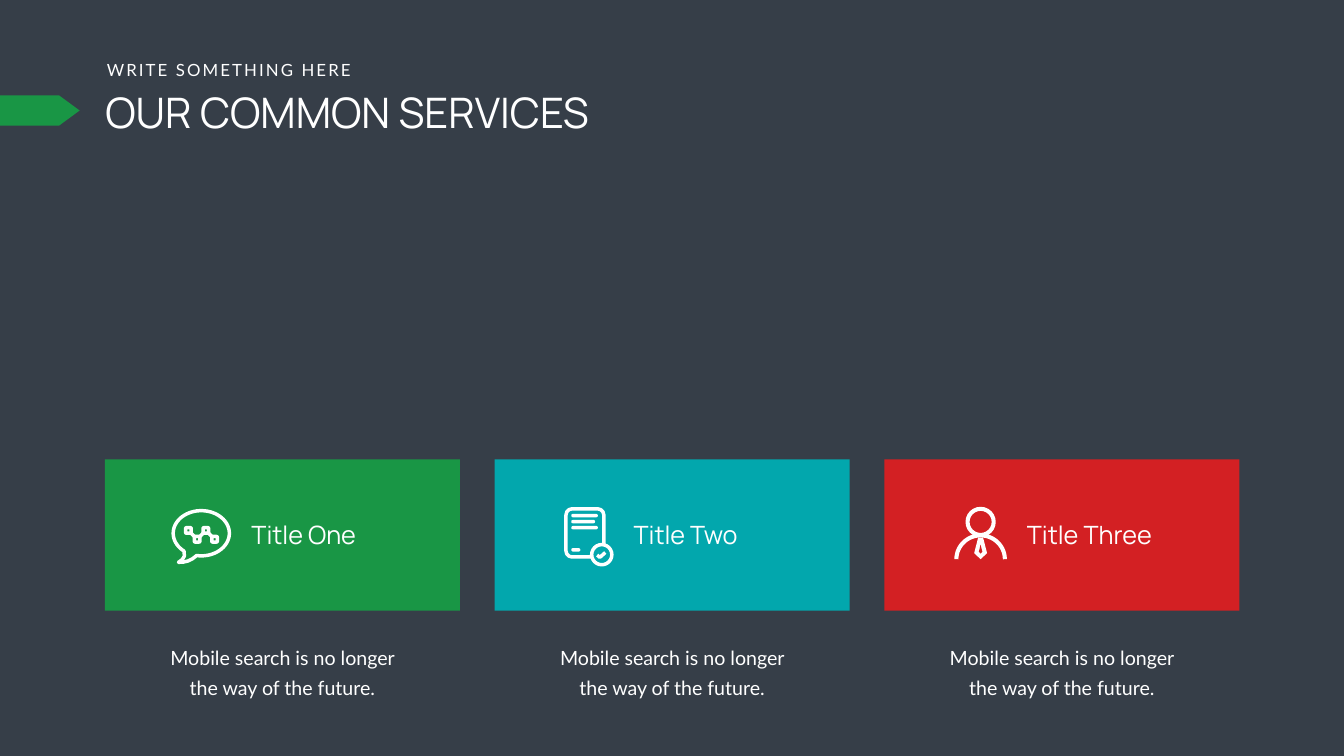
from math import cos, radians, sin

from lxml import etree
from pptx import Presentation
from pptx.dml.color import RGBColor
from pptx.enum.shapes import MSO_SHAPE as Preset
from pptx.enum.text import PP_ALIGN as Align
from pptx.oxml.ns import qn
from pptx.util import Pt

BACKGROUND = RGBColor(0x36, 0x3E, 0x48)
WHITE = RGBColor(0xFF, 0xFF, 0xFF)
GREEN = RGBColor(0x19, 0x96, 0x45)
TEAL = RGBColor(0x02, 0xA7, 0xAD)
RED = RGBColor(0xD3, 0x20, 0x23)

PAGE_WIDTH, PAGE_HEIGHT = 1919.52, 1080
CARD_LEFT, CARD_TOP, CARD_PITCH = 149.9, 656.3, 556.56
CARD_WIDTH, CARD_HEIGHT = 507, 216
STROKE = 5


def add_text(page, text, left, top, width, height, *, size, font,
             align=Align.LEFT, leading=None, tracking=None, inset=(7.2, 3.6),
             wrap=True):
    box = page.shapes.add_textbox(Pt(left), Pt(top), Pt(width), Pt(height))
    frame = box.text_frame
    frame.word_wrap = wrap
    frame.margin_left = frame.margin_right = Pt(inset[0])
    frame.margin_top = frame.margin_bottom = Pt(inset[1])
    para = frame.paragraphs[0]
    para.alignment = align
    if leading:
        para.line_spacing = Pt(leading)
    span = para.add_run()
    span.text = text
    span.font.size = Pt(size)
    span.font.name = font
    span.font.color.rgb = WHITE
    if tracking:
        span._r.get_or_add_rPr().set("spc", str(tracking * 100))


def paint(shape, fill=None, stroke=None):
    shape.shadow.inherit = False
    if fill is None:
        shape.fill.background()
    else:
        shape.fill.solid()
        shape.fill.fore_color.rgb = fill
    if stroke is None:
        shape.line.fill.background()
    else:
        shape.line.color.rgb = WHITE
        shape.line.width = Pt(stroke)
        # Round joins
        etree.SubElement(shape._element.spPr.find(qn("a:ln")), qn("a:round"))


def add_preset(page, preset, left, top, width, height, fill=None, stroke=None,
               adjust=None):
    shape = page.shapes.add_shape(preset, Pt(left), Pt(top), Pt(width), Pt(height))
    if adjust is not None:
        shape.adjustments[0] = adjust
    paint(shape, fill, stroke)
    return shape


def add_centred(page, preset, x, y, size, fill, stroke):
    add_preset(page, preset, x - size / 2, y - size / 2, size, size, fill, stroke)


def add_outline(page, left, points, fill=None, stroke=None, close=True):
    """Draw points given relative to the corner of a card."""
    placed = [(Pt(left + x), Pt(CARD_TOP + y)) for x, y in points]
    builder = page.shapes.build_freeform(*placed[0], scale=1.0)
    builder.add_line_segments(placed[1:], close=close)
    paint(builder.convert_to_shape(), fill, stroke)


def arc(x, y, radius_x, radius_y, start, end, steps=60):
    angles = [radians(start + (end - start) * i / steps) for i in range(steps + 1)]
    return [(x + radius_x * cos(a), y + radius_y * sin(a)) for a in angles]


def draw_chat(page, left, color):
    # Speech bubble with its tail
    tail = [(125, 142), (119, 145), (112, 146.7), (105, 147), (110.5, 143),
            (113.5, 138)]
    add_outline(page, left, arc(137.6, 105.5, 40.1, 32.3, 128, 459.5) + tail,
                stroke=STROKE)
    # Zigzag graph with square markers
    markers = [(119.2 + 12.45 * i, 101.5 + 12.6 * (i % 2)) for i in range(4)]
    add_outline(page, left, markers, stroke=STROKE, close=False)
    for x, y in markers:
        add_centred(page, Preset.ROUNDED_RECTANGLE, left + x, CARD_TOP + y, 8,
                    color, STROKE)


def draw_document(page, left, color):
    # Sheet and its lines
    add_preset(page, Preset.ROUNDED_RECTANGLE, left + 101.9, CARD_TOP + 70.6,
               54, 68.8, stroke=STROKE, adjust=0.16)
    for y, width in ((77.8, 38), (86.4, 34), (95, 38), (126.7, 13)):
        add_preset(page, Preset.ROUNDED_RECTANGLE, left + 109.4, CARD_TOP + y,
                   width, STROKE, fill=WHITE, adjust=0.5)
    # Check badge
    add_centred(page, Preset.OVAL, left + 153, CARD_TOP + 136.1, 28.8, color, STROKE)
    add_outline(page, left, [(146.5, 136.6), (150.2, 140), (158, 133)],
                stroke=STROKE, close=False)


def draw_person(page, left, color):
    # Head and shoulders
    add_centred(page, Preset.OVAL, left + 137.5, CARD_TOP + 89.3, 37.4, None, 5.8)
    add_outline(page, left, arc(137.5, 142.6, 34.6, 34, 180, 360),
                stroke=5.8, close=False)
    # Tie
    add_outline(page, left, [(134, 111.6), (128.3, 133.9), (137.5, 142.6),
                             (146.7, 133.9), (141, 111.6)], fill=WHITE)
    add_outline(page, left, [(137.5, 121.7), (135, 131.8), (137.5, 134.6),
                             (140, 131.8)], fill=color)


def add_card(page, left, title, title_offset, color, draw_icon):
    add_preset(page, Preset.RECTANGLE, left, CARD_TOP, CARD_WIDTH, CARD_HEIGHT, color)
    draw_icon(page, left, color)
    add_text(page, title, left + title_offset, CARD_TOP + 82.3, 214.56, 51,
             size=36, font="Manrope")
    add_text(page, "Mobile search is no longer the way of the future.",
             left + 72, 905, 362.88, 99.4, size=28, font="Lato",
             align=Align.CENTER, leading=43, inset=(17.28, 8.64))


def add_panel(page):
    panel = add_preset(page, Preset.RECTANGLE, 0, 0, PAGE_WIDTH, 773.28, BACKGROUND)
    tint = panel._element.spPr.find(qn("a:solidFill"))[0]
    etree.SubElement(tint, qn("a:alpha")).set("val", "80000")


def main():
    deck = Presentation()
    deck.slide_width, deck.slide_height = Pt(PAGE_WIDTH), Pt(PAGE_HEIGHT)
    page = deck.slides.add_slide(deck.slide_layouts[6])
    page.background.fill.solid()
    page.background.fill.fore_color.rgb = BACKGROUND

    # Translucent upper panel
    add_panel(page)

    # Heading
    add_text(page, "OUR COMMON SERVICES", 143.28, 120, 867.6, 80,
             size=60, font="Manrope")
    add_text(page, "WRITE SOMETHING HERE", 145.44, 81.36, 370, 36,
             size=24, font="Lato", tracking=3, wrap=False)
    add_preset(page, Preset.PENTAGON, 0, 136.3, 113.76, 43.2, GREEN, adjust=0.68)

    # Service cards
    cards = [("Title One", 202.2, GREEN, draw_chat),
             ("Title Two", 191.4, TEAL, draw_document),
             ("Title Three", 196.5, RED, draw_person)]
    for index, card in enumerate(cards):
        add_card(page, CARD_LEFT + index * CARD_PITCH, *card)

    deck.save("out.pptx")


if __name__ == "__main__":
    main()
